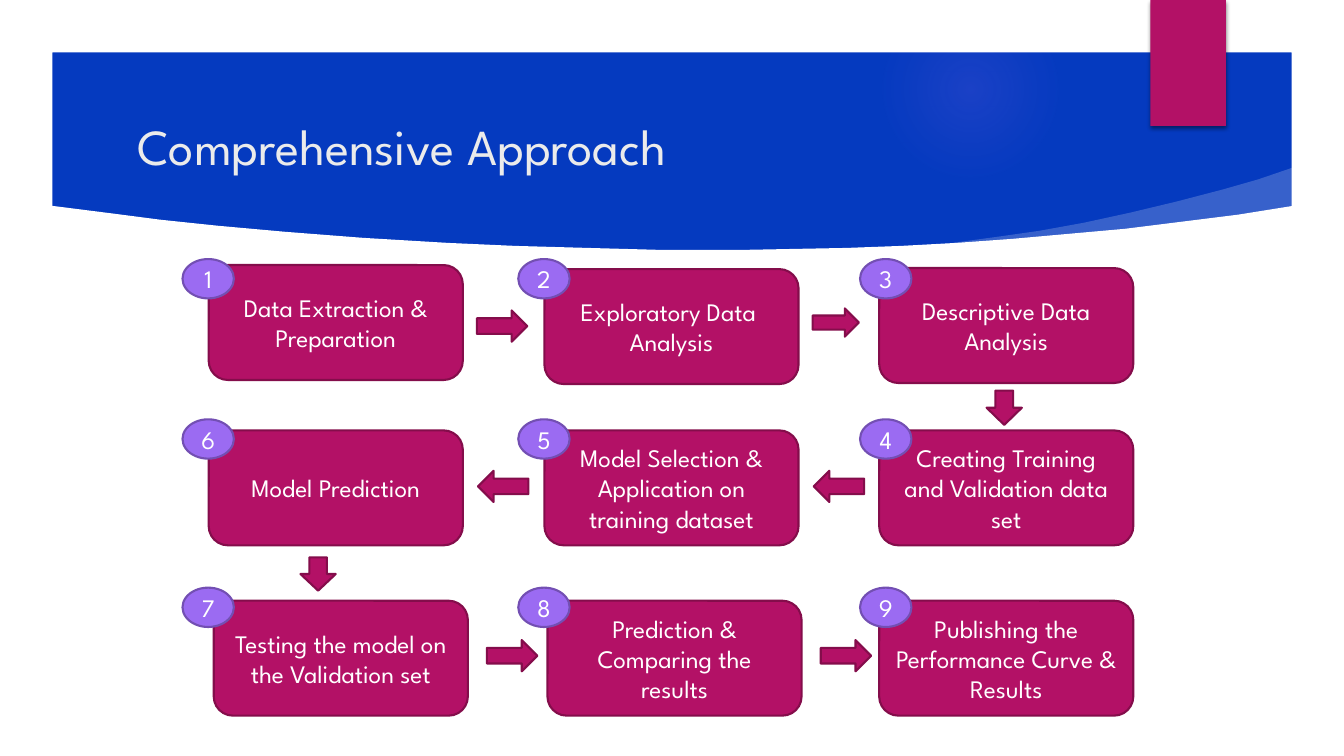
from pptx import Presentation
from pptx.dml.color import RGBColor
from pptx.enum.shapes import MSO_SHAPE
from pptx.enum.text import MSO_ANCHOR, MSO_AUTO_SIZE, PP_ALIGN
from pptx.oxml import parse_xml
from pptx.oxml.ns import nsdecls
from pptx.util import Inches, Pt

WHITE = RGBColor(0xFF, 0xFF, 0xFF)
PALE = RGBColor(0xEB, 0xEB, 0xEB)
BLUE = RGBColor(0x05, 0x3A, 0xBF)
PINK = RGBColor(0xB3, 0x11, 0x66)
WINE = RGBColor(0x84, 0x0D, 0x4B)
LILAC = RGBColor(0x9B, 0x6B, 0xF2)
VIOLET = RGBColor(0x73, 0x4F, 0xB3)
FONT = "League Spartan"

deck = Presentation()
deck.slide_width, deck.slide_height = Inches(13.33), Inches(7.5)
slide = deck.slides.add_slide(deck.slide_layouts[5])
slide.background.fill.solid()
slide.background.fill.fore_color.rgb = BLUE


def paint(shape, fill, edge=None, text=""):
    """Set fill, outline and centred text of a shape."""
    shape.shadow.inherit = False
    shape.fill.solid()
    shape.fill.fore_color.rgb = fill
    if edge is None:
        shape.line.fill.background()
    else:
        shape.line.color.rgb = edge
        shape.line.width = Pt(1.5)
    if text:
        frame = shape.text_frame
        frame.text = text
        frame.word_wrap = True
        frame.vertical_anchor = MSO_ANCHOR.MIDDLE
        for para in frame.paragraphs:
            para.alignment = PP_ALIGN.CENTER
            para.font.name, para.font.size = FONT, Pt(18)
            para.font.color.rgb = WHITE
    return shape


def add(kind, x, y, w, h, *style):
    shape = slide.shapes.add_shape(kind, Inches(x), Inches(y), Inches(w), Inches(h))
    return paint(shape, *style)


# Banner: soft glow, light wedge, curved lower edge and white frame
glow = add(MSO_SHAPE.OVAL, 8.75, 0.01, 1.75, 1.75, LILAC)
stops = "".join(
    f'<a:gs pos="{pos}000"><a:srgbClr val="{LILAC}"><a:alpha val="{alpha}000"/></a:srgbClr></a:gs>'
    for pos, alpha in [(0, 14), (36, 7), (73, 0), (100, 0)])
solid = glow.element.spPr.find(".//{*}solidFill")
solid.getparent().replace(solid, parse_xml(
    f'<a:gradFill {nsdecls("a")}><a:gsLst>{stops}</a:gsLst><a:path path="circle">'
    '<a:fillToRect l="50000" t="50000" r="50000" b="50000"/></a:path></a:gradFill>'))

wedge = [(9.34, 2.5), (10.2, 2.48), (11.2, 2.38), (12.1, 2.26), (12.89, 2.14),
         (12.83, 1.66), (12.48, 1.78), (12.13, 1.88), (11.67, 2), (11.21, 2.11),
         (10.75, 2.21), (10.31, 2.29), (9.89, 2.35), (9.3, 2.43)]
page = [(0.5, 7), (12.84, 7), (12.84, 2.04), (12.28, 2.13), (11.72, 2.2),
        (11.16, 2.27), (10.6, 2.32), (10.04, 2.37), (9.49, 2.41), (8.94, 2.44),
        (8.4, 2.46), (7.86, 2.47), (7.34, 2.48), (6.57, 2.48), (5.83, 2.46),
        (5.11, 2.44), (4.44, 2.41), (3.6, 2.36), (2.83, 2.3), (2.16, 2.24),
        (1.59, 2.18), (1.13, 2.12), (0.5, 2.04)]
for points, alpha in [(wedge, 20), (page, 100)]:
    spots = [(Inches(x), Inches(y)) for x, y in points]
    path = slide.shapes.build_freeform(*spots[0])
    path.add_line_segments(spots[1:], close=True)
    shape = paint(path.convert_to_shape(), WHITE)
    if alpha < 100:
        color = shape.element.spPr.find(".//{*}srgbClr")
        color.append(parse_xml(f'<a:alpha {nsdecls("a")} val="{alpha}000"/>'))

border = add(MSO_SHAPE.FRAME, 0, 0, 13.33, 7.5, WHITE)
border.adjustments[0] = 0.52 / 7.5

ribbon = add(MSO_SHAPE.RECTANGLE, 11.41, 0, 0.75, 1.25, PINK)
ribbon.element.spPr.find("{*}effectLst").append(parse_xml(
    f'<a:outerShdw {nsdecls("a")} blurRad="{Pt(3)}" dist="{Pt(2)}" dir="5400000">'
    '<a:srgbClr val="000000"><a:alpha val="45000"/></a:srgbClr></a:outerShdw>'))

# Steps: box place, badge column and row, wording
steps = [
    (2.07, 2.63, 0, 0, "Data Extraction & Preparation"),
    (5.4, 2.67, 1, 0, "Exploratory Data \nAnalysis"),
    (8.72, 2.66, 2, 0, "Descriptive Data Analysis"),
    (8.72, 4.27, 2, 1, "Creating Training and Validation data set"),
    (5.4, 4.27, 1, 1, "Model Selection & Application on training dataset"),
    (2.07, 4.27, 0, 1, "Model Prediction"),
    (2.12, 5.96, 0, 2, "Testing the model on the Validation set"),
    (5.43, 5.96, 1, 2, "Prediction & Comparing the results"),
    (8.72, 5.96, 2, 2, "Publishing the Performance Curve & Results"),
]
for num, (x, y, col, row, text) in enumerate(steps, 1):
    add(MSO_SHAPE.ROUNDED_RECTANGLE, x, y, 2.52, 1.14, PINK, WINE, text)
    add(MSO_SHAPE.OVAL, (1.81, 5.14, 8.53)[col], (2.57, 4.16, 5.83)[row],
        0.51, 0.39, LILAC, VIOLET, str(num))

arrows = [
    (4.73, 3.08, 0.5, 0.31, 0), (8.06, 3.06, 0.46, 0.28, 0),
    (9.79, 3.87, 0.34, 0.35, 90),
    (8.07, 4.67, 0.5, 0.31, 180), (4.74, 4.67, 0.5, 0.31, 180),
    (2.99, 5.52, 0.33, 0.35, 90),
    (4.83, 6.35, 0.5, 0.31, 0), (8.14, 6.35, 0.5, 0.31, 0),
]
for *place, turn in arrows:
    add(MSO_SHAPE.RIGHT_ARROW, *place, PINK, WINE).rotation = turn

# Title, brought in front of the banner
title = slide.shapes.title
title.element.getparent().append(title.element)
title.left, title.top = Inches(1.26), Inches(1.06)
title.width, title.height = Inches(9.58), Inches(0.77)
frame = title.text_frame
frame.text = "Comprehensive Approach"
frame.auto_size = MSO_AUTO_SIZE.NONE
frame.vertical_anchor = MSO_ANCHOR.MIDDLE
para = frame.paragraphs[0]
para.alignment = PP_ALIGN.LEFT
para.font.name, para.font.size = FONT, Pt(36)
para.font.color.rgb = PALE

deck.save("out.pptx")
